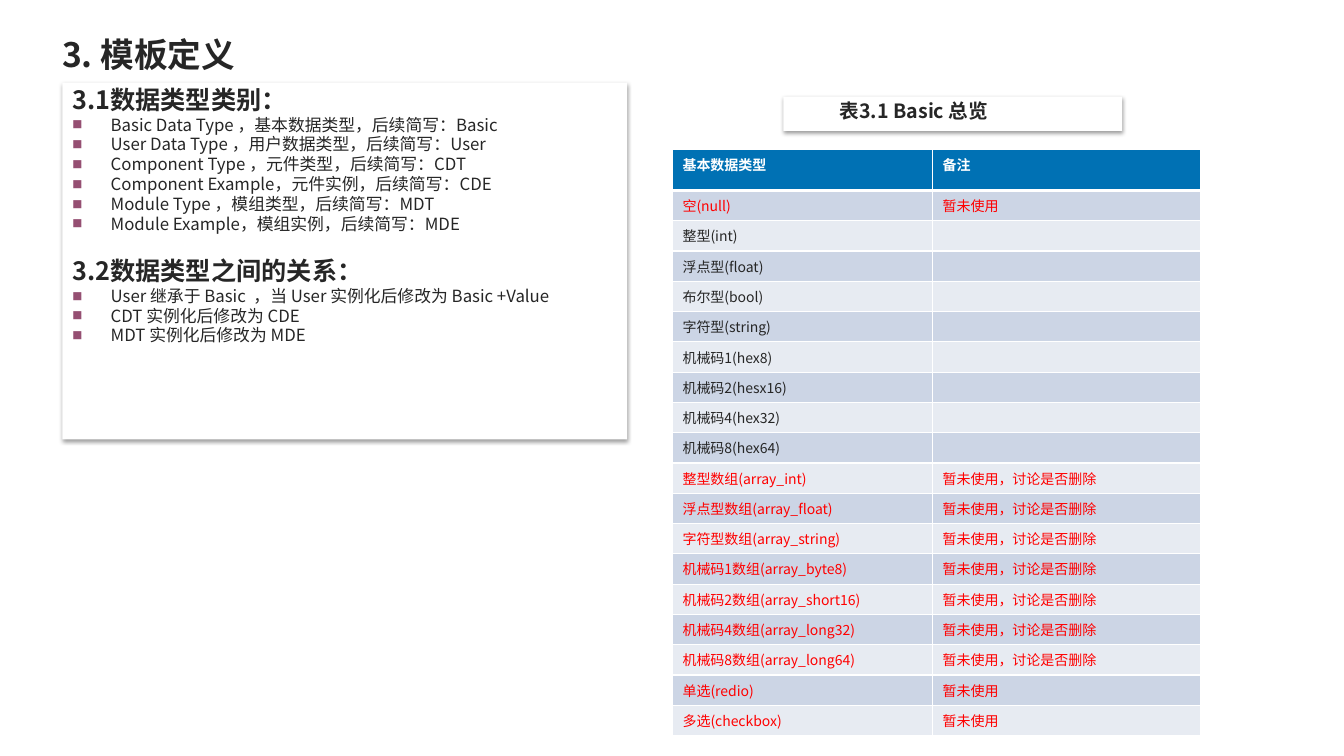
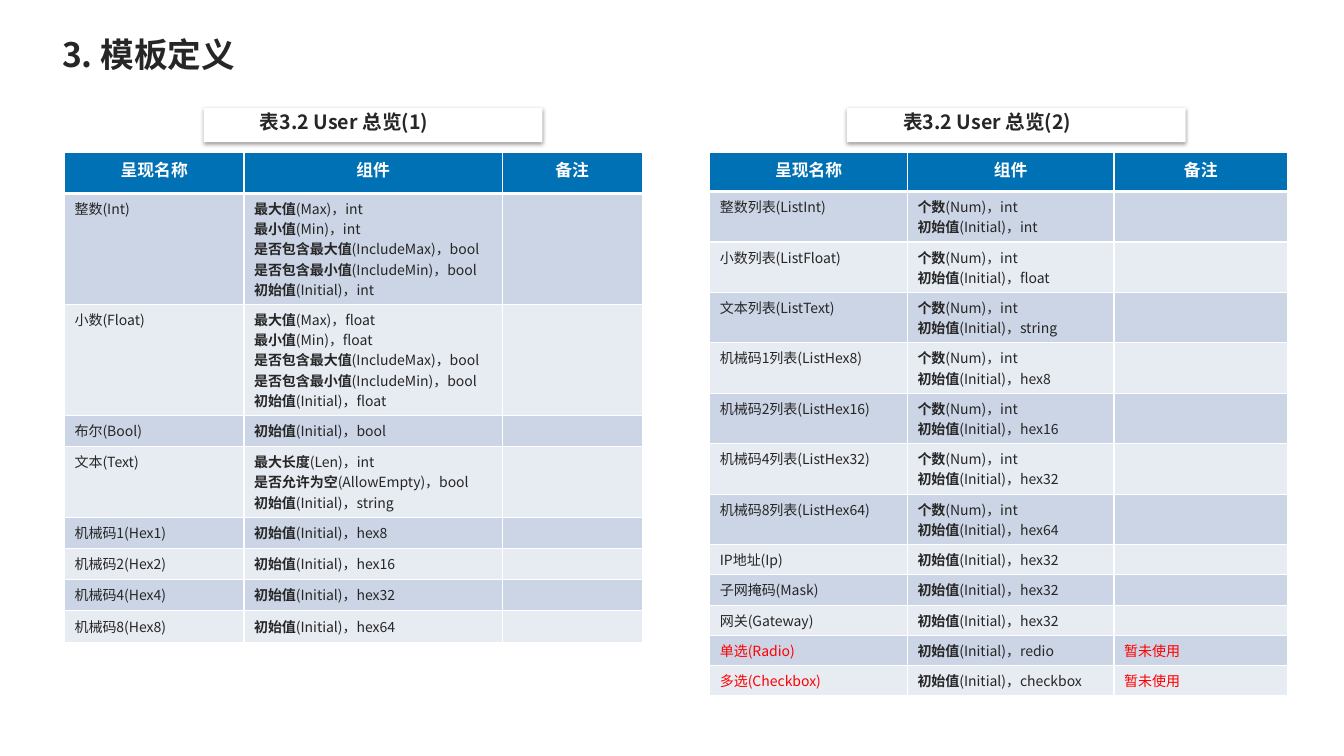
from lxml import etree
from pptx import Presentation
from pptx.dml.color import RGBColor
from pptx.enum.shapes import MSO_SHAPE as SHAPE
from pptx.enum.text import MSO_ANCHOR as ANCHOR, PP_ALIGN as ALIGN
from pptx.oxml.ns import qn
from pptx.util import Inches, Pt

FONT = "Noto Sans CJK SC"
WHITE = RGBColor(0xFF, 0xFF, 0xFF)
INK = RGBColor(0x26, 0x26, 0x26)
RED = RGBColor(0xFF, 0x00, 0x00)
BLUE = RGBColor(0x00, 0x71, 0xB4)
PLUM = RGBColor(0x95, 0x4F, 0x72)
BANDS = (RGBColor(0xCC, 0xD5, 0xE5), RGBColor(0xE7, 0xEB, 0xF2))

TITLE = "3. 模板定义"
UNUSED = "暂未使用"
UNDECIDED = "暂未使用，讨论是否删除"

SECTIONS = [
    ("3.1数据类型类别：", [
        "Basic Data Type ，基本数据类型，后续简写：Basic",
        "User Data Type ，用户数据类型，后续简写：User",
        "Component Type ，元件类型，后续简写：CDT",
        "Component Example，元件实例，后续简写：CDE",
        "Module Type ，模组类型，后续简写：MDT",
        "Module Example，模组实例，后续简写：MDE",
    ]),
    ("3.2数据类型之间的关系：", [
        "User 继承于 Basic  ，当 User 实例化后修改为 Basic +Value",
        "CDT 实例化后修改为 CDE",
        "MDT 实例化后修改为 MDE",
    ]),
]

BASIC_TYPES = [
    ("空(null)", UNUSED),
    *((name, "") for name in (
        "整型(int)", "浮点型(float)", "布尔型(bool)", "字符型(string)",
        "机械码1(hex8)", "机械码2(hesx16)", "机械码4(hex32)", "机械码8(hex64)")),
    *((name, UNDECIDED) for name in (
        "整型数组(array_int)", "浮点型数组(array_float)", "字符型数组(array_string)",
        "机械码1数组(array_byte8)", "机械码2数组(array_short16)",
        "机械码4数组(array_long32)", "机械码8数组(array_long64)")),
    ("单选(redio)", UNUSED),
    ("多选(checkbox)", UNUSED),
]


def initial(kind):
    return ("初始值", f"(Initial)，{kind}")


def number_fields(kind):
    return [("最大值", f"(Max)，{kind}"), ("最小值", f"(Min)，{kind}"),
            ("是否包含最大值", "(IncludeMax)，bool"),
            ("是否包含最小值", "(IncludeMin)，bool"), initial(kind)]


def list_fields(kind):
    return [("个数", "(Num)，int"), initial(kind)]


USER_HEADER = ("呈现名称", "组件", "备注")
USER_SCALARS = [
    ("整数(Int)", number_fields("int"), ""),
    ("小数(Float)", number_fields("float"), ""),
    ("布尔(Bool)", [initial("bool")], ""),
    ("文本(Text)", [("最大长度", "(Len)，int"),
                  ("是否允许为空", "(AllowEmpty)，bool"), initial("string")], ""),
    *((f"机械码{n}(Hex{n})", [initial(f"hex{8 * n}")], "") for n in (1, 2, 4, 8)),
]
USER_LISTS = [
    ("整数列表(ListInt)", list_fields("int"), ""),
    ("小数列表(ListFloat)", list_fields("float"), ""),
    ("文本列表(ListText)", list_fields("string"), ""),
    *((f"机械码{n}列表(ListHex{8 * n})", list_fields(f"hex{8 * n}"), "")
      for n in (1, 2, 4, 8)),
    *((name, [initial("hex32")], "")
      for name in ("IP地址(Ip)", "子网掩码(Mask)", "网关(Gateway)")),
    ("单选(Radio)", [initial("redio")], UNUSED),
    ("多选(Checkbox)", [initial("checkbox")], UNUSED),
]


def sub(parent, tag, **attrs):
    return etree.SubElement(parent, qn(tag), {k: str(v) for k, v in attrs.items()})


def write(p, text, size=10, color=INK, bold=False, align=ALIGN.LEFT,
          spacing=None, before=None):
    """Append a formatted run to paragraph p; empty text only sets the line's size."""
    p.alignment = align
    if spacing:
        p.line_spacing = spacing
    if before:
        p.space_before = Pt(before)
    if not text:
        sub(p._p, "a:endParaRPr", sz=size * 100)
        return
    r = p.add_run()
    r.text = text
    r.font.size, r.font.bold, r.font.name = Pt(size), bold, FONT
    r.font.color.rgb = color
    sub(r._r.get_or_add_rPr(), "a:ea", typeface=FONT)


def paragraphs(tf):
    """Yield the first paragraph, then new ones without end."""
    yield tf.paragraphs[0]
    while True:
        yield tf.add_paragraph()


def indent(p, left, first=0):
    pPr = p._p.get_or_add_pPr()
    pPr.set("marL", str(Inches(left)))
    pPr.set("indent", str(Inches(first)))
    return pPr


def add_bullet(p):
    pPr = indent(p, 0.38, -0.38)
    sub(sub(pPr, "a:buClr"), "a:srgbClr", val=PLUM)
    sub(pPr, "a:buSzPct", val=60000)
    sub(pPr, "a:buFont", typeface=FONT)
    sub(pPr, "a:buChar", char="■")


def add_borders(cell, bottom):
    tcPr = cell._tc.get_or_add_tcPr()
    for i, (side, width) in enumerate(zip("LRTB", (1, 1, 1, bottom))):
        ln = sub(tcPr, f"a:ln{side}", w=Pt(width))
        sub(sub(ln, "a:solidFill"), "a:srgbClr", val=WHITE)
        tcPr.insert(i, ln)


class Deck:
    LINE = 0.2
    PADDING = 0.1
    TIGHT = 0.9

    def __init__(self):
        self.prs = Presentation()
        self.prs.slide_width, self.prs.slide_height = Inches(13.33), Inches(7.5)
        self.s = None

    def slide(self, title):
        self.s = self.prs.slides.add_slide(self.prs.slide_layouts[6])
        tf = self.box(0.49, 0.26, 4.45, 0.56, SHAPE.ROUNDED_RECTANGLE, shadow=False)
        tf.vertical_anchor = ANCHOR.MIDDLE
        write(tf.paragraphs[0], title, size=24, bold=True)

    def box(self, x, y, w, h, kind=SHAPE.RECTANGLE, shadow=True):
        sp = self.s.shapes.add_shape(kind, Inches(x), Inches(y), Inches(w), Inches(h))
        sp.fill.solid()
        sp.fill.fore_color.rgb = WHITE
        sp.line.fill.background()
        sp.shadow.inherit = False
        if shadow:
            effects = sp._element.spPr.find(qn("a:effectLst"))
            outer = sub(effects, "a:outerShdw", blurRad=Pt(3.1), dist=Pt(1.6),
                        dir=5400000, algn="t", rotWithShape=0)
            sub(sub(outer, "a:srgbClr", val="000000"), "a:alpha", val=38000)
        tf = sp.text_frame
        tf.word_wrap = True
        tf.vertical_anchor = ANCHOR.TOP
        return tf

    def caption(self, x, y, text):
        p = self.box(x, y, 3.36, 0.34).paragraphs[0]
        indent(p, 0.46)
        write(p, text, size=14, bold=True, spacing=self.TIGHT)

    def outline(self, x, y, w, h, sections):
        lines = paragraphs(self.box(x, y, w, h))
        for i, (heading, items) in enumerate(sections):
            write(next(lines), heading, size=18, bold=True, spacing=self.TIGHT,
                  before=18 if i else None)
            for item in items:
                p = next(lines)
                write(p, item, size=12, spacing=self.TIGHT, before=1.2)
                add_bullet(p)

    def cell(self, cell, content, fill, bottom=1, **style):
        """Fill a cell with one text, or with a list of (bold label, detail) lines."""
        cell.fill.solid()
        cell.fill.fore_color.rgb = fill
        add_borders(cell, bottom)
        lines = paragraphs(cell.text_frame)
        if isinstance(content, str):
            write(next(lines), content, **style)
            return
        for label, detail in content:
            p = next(lines)
            write(p, label, bold=True, **style)
            write(p, detail, **style)

    def table(self, x, y, widths, header, rows, header_height=0.41, min_height=0.3,
              header_size=12, header_align=ALIGN.CENTER):
        """Rows that carry a note in the last column show name and note in red."""
        heights = [header_height]
        for row in rows:
            count = max(len(c) for c in row if isinstance(c, list)) if len(row) > 2 else 1
            heights.append(max(min_height, self.PADDING + self.LINE * count))
        tbl = self.s.shapes.add_table(
            len(heights), len(widths), Inches(x), Inches(y),
            Inches(sum(widths)), Inches(sum(heights))).table
        for col, w in zip(tbl.columns, widths):
            col.width = Inches(w)
        for row, h in zip(tbl.rows, heights):
            row.height = Inches(h)
        for j, text in enumerate(header):
            self.cell(tbl.cell(0, j), text, BLUE, bottom=3, size=header_size,
                      color=WHITE, bold=True, align=header_align)
        for i, row in enumerate(rows):
            for j, content in enumerate(row):
                flagged = row[-1] and isinstance(content, str)
                self.cell(tbl.cell(i + 1, j), content, BANDS[i % 2],
                          color=RED if flagged else INK)


def main():
    deck = Deck()

    deck.slide(TITLE)
    deck.outline(0.62, 0.82, 5.6, 3.54, SECTIONS)
    deck.table(6.67, 1.48, (2.58, 2.66), ("基本数据类型", "备注"), BASIC_TYPES,
               header_size=10, header_align=ALIGN.LEFT)
    deck.caption(7.77, 0.96, "表3.1 Basic 总览")

    deck.slide(TITLE)
    deck.table(0.64, 1.51, (1.78, 2.56, 1.39), USER_HEADER, USER_SCALARS,
               min_height=0.31)
    deck.table(7.04, 1.51, (1.96, 2.05, 1.72), USER_HEADER, USER_LISTS,
               header_height=0.39)
    for n, x in enumerate((2.02, 8.4), start=1):
        deck.caption(x, 1.07, f"表3.2 User 总览({n})")

    deck.prs.save("out.pptx")


if __name__ == "__main__":
    main()
